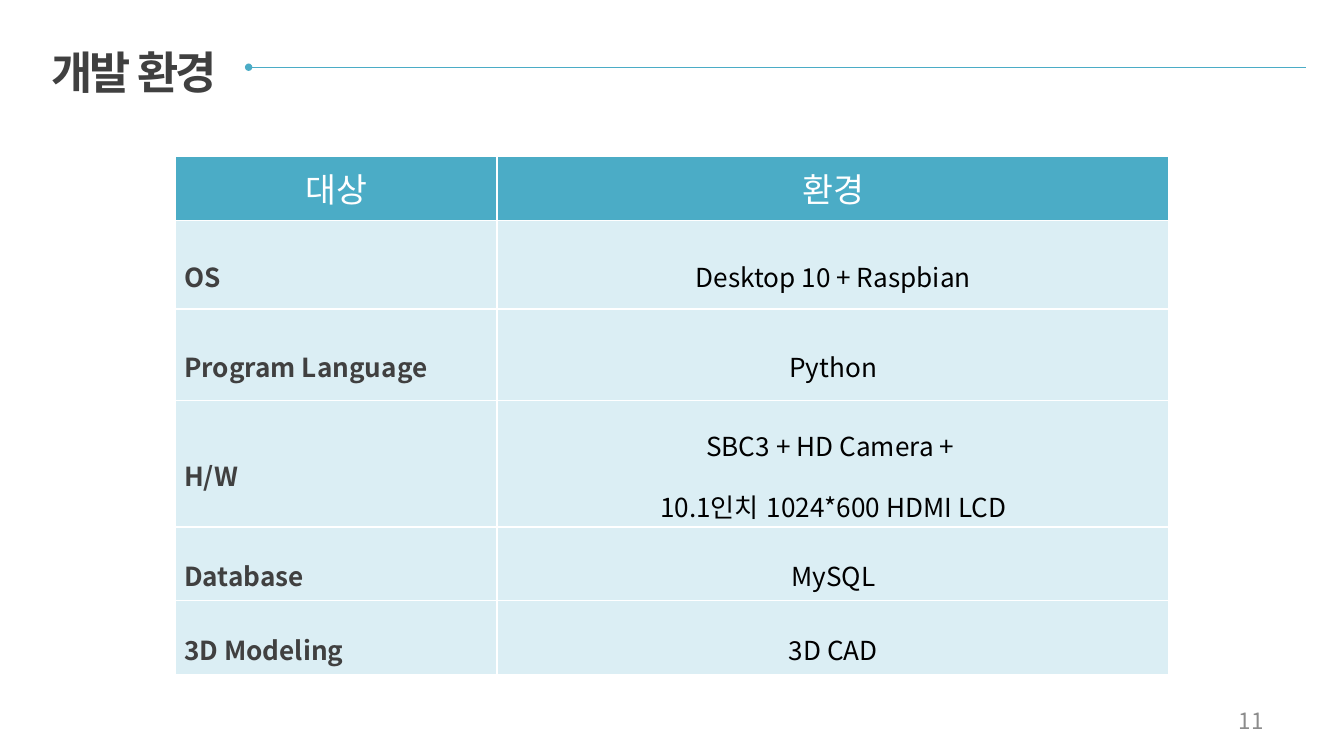
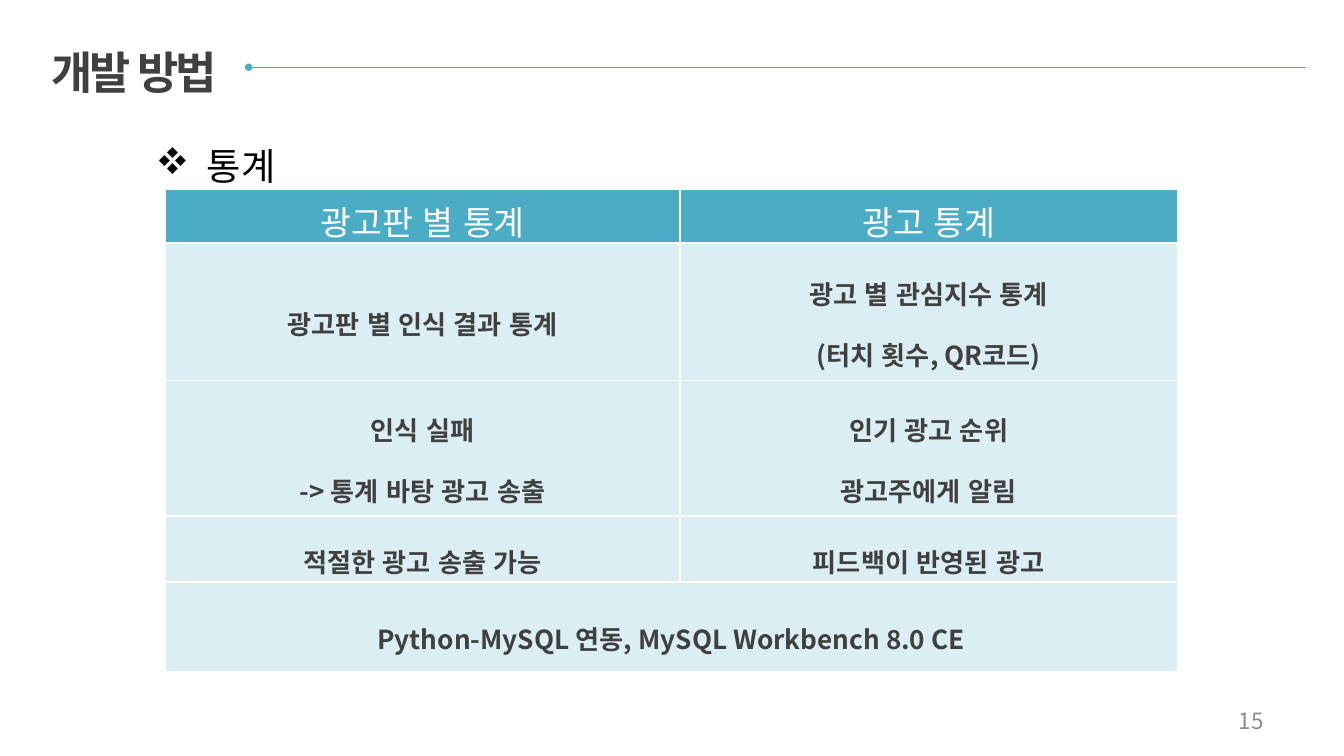
"""Build two project slides: the development environment and the statistics method."""
from dataclasses import dataclass

from pptx import Presentation
from pptx.dml.color import RGBColor
from pptx.enum.shapes import MSO_CONNECTOR
from pptx.enum.text import MSO_ANCHOR as Anchor, MSO_AUTO_SIZE as AutoSize, PP_ALIGN as Align
from pptx.oxml.ns import qn
from pptx.slide import Slide
from pptx.util import Inches, Pt
from lxml.etree import SubElement

TEAL = RGBColor(0x4B, 0xAC, 0xC6)
PALE_TEAL = RGBColor(0xDB, 0xEE, 0xF4)
CHARCOAL = RGBColor(0x40, 0x40, 0x40)
GRAY = RGBColor(0x8C, 0x8C, 0x8C)
BLACK = RGBColor(0, 0, 0)
WHITE = RGBColor(0xFF, 0xFF, 0xFF)
FONT = "Noto Sans CJK KR"
CONTENT_LAYOUT, TITLE_ONLY_LAYOUT = 1, 5


@dataclass(frozen=True)
class CellStyle:
    """Look of a table cell."""
    fill: RGBColor
    color: RGBColor
    size: int
    bold: bool = False
    align: Align = Align.CENTER
    spacing: float | None = None
    inset: tuple[float, float] = (0.1, 0.05)


def body_style(color: RGBColor, bold: bool, align: Align = Align.CENTER) -> CellStyle:
    """Return the style of a pale cell below the header."""
    return CellStyle(PALE_TEAL, color, 14, bold, align, 1.6, (0.07, 0.02))


HEADER = CellStyle(TEAL, WHITE, 18)
LABEL = body_style(CHARCOAL, True, Align.JUSTIFY)
VALUE = body_style(BLACK, False)
FINDING = body_style(CHARCOAL, True)


@dataclass(frozen=True)
class Grid:
    """Table content with its place and the style of each body column."""
    left: float
    top: float
    widths: tuple[float, ...]
    heights: tuple[float, ...]
    rows: tuple[tuple[str, ...], ...]
    column_styles: tuple[CellStyle, ...]


ENVIRONMENT = Grid(
    1.3, 1.16, (2.4, 5.0), (0.48, 0.66, 0.68, 0.94, 0.55, 0.55),
    (
        ("대상", "환경"),
        ("OS", "Desktop 10 + Raspbian"),
        ("Program Language", "Python"),
        ("H/W", "SBC3 + HD Camera + \n10.1인치 1024*600 HDMI LCD"),
        ("Database", "MySQL"),
        ("3D Modeling", "3D CAD"),
    ),
    (LABEL, VALUE),
)
STATISTICS = Grid(
    1.23, 1.41, (3.83, 3.7), (0.39, 1.02, 1.01, 0.49, 0.67),
    (
        ("광고판 별 통계", "광고 통계"),
        ("광고판 별 인식 결과 통계", "광고 별 관심지수 통계\n(터치 횟수, QR코드)"),
        ("인식 실패\n-> 통계 바탕 광고 송출", "인기 광고 순위\n광고주에게 알림"),
        ("적절한 광고 송출 가능", "피드백이 반영된 광고"),
        ("Python-MySQL 연동, MySQL Workbench 8.0 CE",),
    ),
    (FINDING, FINDING),
)


def add_text(paragraph, text: str, size: int, color: RGBColor, bold: bool = False):
    """Add a formatted run and return it."""
    run = paragraph.add_run()
    run.text = text
    run.font.size, run.font.bold = Pt(size), bold
    run.font.color.rgb = color
    run.font.name = FONT
    properties = run.font._element
    properties.set("lang", "ko-KR")
    SubElement(properties, qn("a:ea"), typeface=FONT)
    return run


def place(shape, left: float, top: float, width: float, height: float) -> None:
    """Move and size a shape, in inches."""
    shape.left, shape.top = Inches(left), Inches(top)
    shape.width, shape.height = Inches(width), Inches(height)


def add_heading(slide: Slide, text: str) -> None:
    """Fill the title and draw the rule that runs from it."""
    title = slide.shapes.title
    place(title, 0.28, 0.28, 2.28, 0.5)
    frame = title.text_frame
    frame.vertical_anchor = Anchor.TOP
    frame.auto_size = AutoSize.SHAPE_TO_FIT_TEXT
    paragraph = frame.paragraphs[0]
    paragraph.alignment = Align.LEFT
    run = add_text(paragraph, text, 24, CHARCOAL, True)
    run.font._element.set("spc", "-150")

    rule = slide.shapes.add_connector(
        MSO_CONNECTOR.STRAIGHT, Inches(1.85), Inches(0.5), Inches(9.72), Inches(0.5))
    rule.line.color.rgb = TEAL
    rule.line.width = Pt(0.75)
    SubElement(rule.line._get_or_add_ln(), qn("a:headEnd"), type="oval", w="sm", len="sm")
    SubElement(rule._element.spPr, qn("a:effectLst"))


def add_page_number(slide: Slide, number: int) -> None:
    """Write the page number at the lower right."""
    box = slide.shapes.add_textbox(Inches(7.17), Inches(5.21), Inches(2.33), Inches(0.3))
    frame = box.text_frame
    frame.word_wrap = True
    frame.vertical_anchor = Anchor.MIDDLE
    frame.paragraphs[0].alignment = Align.RIGHT
    add_text(frame.paragraphs[0], str(number), 12, GRAY)


def add_topic(slide: Slide, text: str) -> None:
    """Write a bulleted topic in the body placeholder."""
    body = slide.placeholders[1]
    place(body, 1.06, 0.85, 9.29, 4.22)
    paragraph = body.text_frame.paragraphs[0]
    paragraph.line_spacing = 1.5
    paragraph.space_before = Pt(0)
    properties = paragraph._p.get_or_add_pPr()
    indent = Inches(0.38)
    properties.set("marL", str(indent))
    properties.set("indent", str(-indent))
    SubElement(properties, qn("a:buFont"), typeface="Wingdings", charset="2")
    SubElement(properties, qn("a:buChar"), char="v")
    add_text(paragraph, text, 20, BLACK)


def add_borders(cell) -> None:
    """Draw thin white borders around a cell."""
    properties = cell._tc.get_or_add_tcPr()
    for side in "LRTB":
        border = SubElement(properties, qn(f"a:ln{side}"), w=str(Pt(1)))
        fill = SubElement(border, qn("a:solidFill"))
        SubElement(fill, qn("a:srgbClr"), val=str(WHITE))


def style_cell(cell, style: CellStyle) -> None:
    """Set borders, fill, anchor and margins of a cell."""
    add_borders(cell)
    cell.fill.solid()
    cell.fill.fore_color.rgb = style.fill
    cell.vertical_anchor = Anchor.MIDDLE
    across, down = map(Inches, style.inset)
    cell.margin_left = cell.margin_right = across
    cell.margin_top = cell.margin_bottom = down


def write_cell(cell, text: str, style: CellStyle) -> None:
    """Write each line of text as a paragraph."""
    frame = cell.text_frame
    for index, line in enumerate(text.split("\n")):
        paragraph = frame.add_paragraph() if index else frame.paragraphs[0]
        paragraph.alignment = style.align
        paragraph.line_spacing = style.spacing
        add_text(paragraph, line, style.size, style.color, style.bold)


def add_grid(slide: Slide, grid: Grid) -> None:
    """Draw a table; a row with a single text spans all columns."""
    table = slide.shapes.add_table(
        len(grid.heights), len(grid.widths), Inches(grid.left), Inches(grid.top),
        Inches(sum(grid.widths)), Inches(sum(grid.heights))).table
    for column, width in zip(table.columns, grid.widths):
        column.width = Inches(width)
    for index, (texts, height) in enumerate(zip(grid.rows, grid.heights)):
        table.rows[index].height = Inches(height)
        styles = grid.column_styles if index else (HEADER,) * len(grid.widths)
        for position, style in enumerate(styles):
            style_cell(table.cell(index, position), style)
        if len(texts) == 1:
            table.cell(index, 0).merge(table.cell(index, len(styles) - 1))
        for position, (text, style) in enumerate(zip(texts, styles)):
            write_cell(table.cell(index, position), text, style)


def add_slide(deck, layout: int, heading: str, number: int) -> Slide:
    """Add a slide with the shared heading and page number."""
    slide = deck.slides.add_slide(deck.slide_layouts[layout])
    add_heading(slide, heading)
    add_page_number(slide, number)
    return slide


def main() -> None:
    """Build and save the slides."""
    deck = Presentation()
    deck.slide_width = Inches(10)
    deck.slide_height = deck.slide_width * 9 // 16

    environment = add_slide(deck, TITLE_ONLY_LAYOUT, "개발 환경", 11)
    add_grid(environment, ENVIRONMENT)

    method = add_slide(deck, CONTENT_LAYOUT, "개발 방법", 15)
    add_topic(method, "통계")
    add_grid(method, STATISTICS)

    deck.save("out.pptx")


if __name__ == "__main__":
    main()
